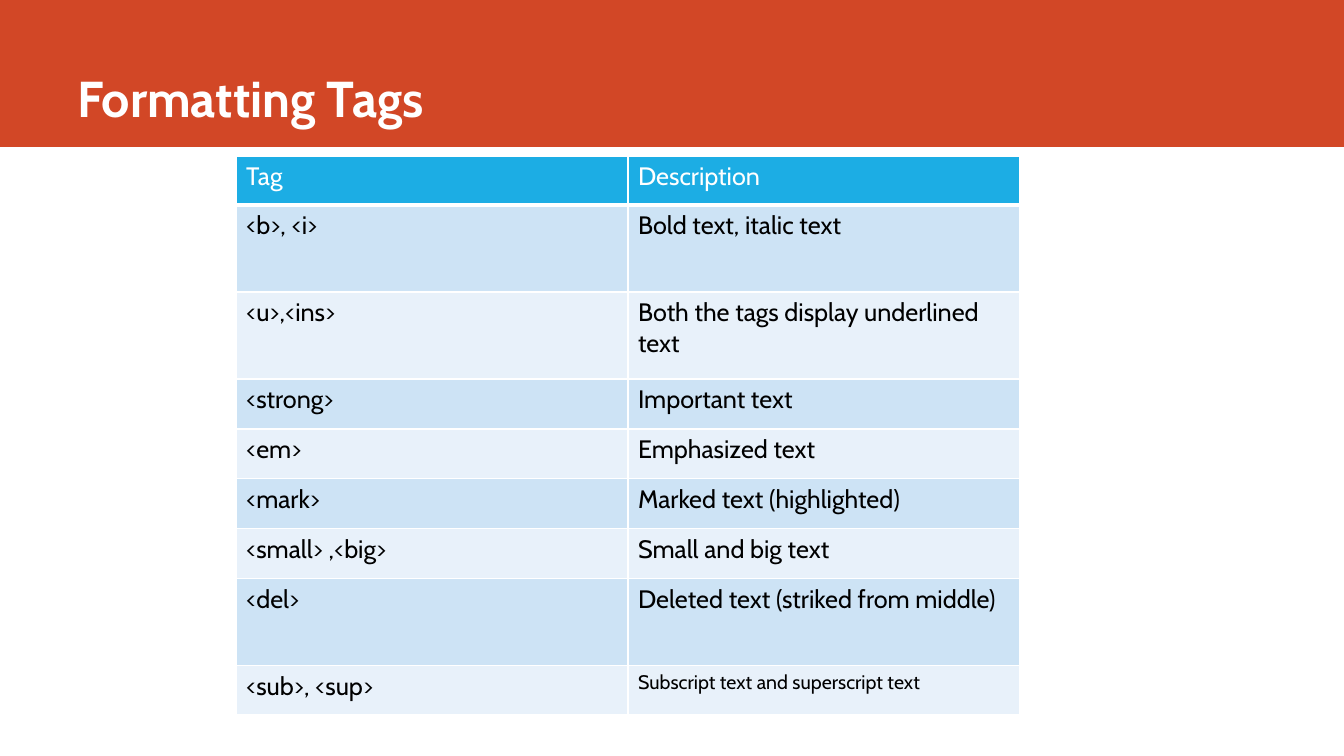
from lxml import etree
from pptx import Presentation
from pptx.dml.color import RGBColor
from pptx.enum.shapes import MSO_SHAPE
from pptx.enum.text import MSO_ANCHOR, MSO_AUTO_SIZE, PP_ALIGN
from pptx.oxml.ns import qn
from pptx.util import Emu, Pt

RECTANGLE = MSO_SHAPE.RECTANGLE
BOTTOM = MSO_ANCHOR.BOTTOM
NO_AUTOFIT = MSO_AUTO_SIZE.NONE
LEFT = PP_ALIGN.LEFT

PX = 914400 / 100.8
FONT = "Cabin"
WHITE, BLACK = "FFFFFF", "000000"
ORANGE, HEADER_BLUE = "D24726", "1CADE4"
BANDS = ["E8F1FA", "CDE3F5"]
TITLE_ONLY = 5


def px(*lengths):
    return [Emu(round(length * PX)) for length in lengths]


def paint(target, color):
    target.solid()
    target.fore_color.rgb = RGBColor.from_string(color)


# Slide
presentation = Presentation()
presentation.slide_width, presentation.slide_height = px(1344, 756)
slide = presentation.slides.add_slide(presentation.slide_layouts[TITLE_ONLY])
paint(slide.background.fill, WHITE)

# Banner
banner = slide.shapes.add_shape(RECTANGLE, *px(0, 0, 1344, 147))
banner.shadow.inherit = False
paint(banner.fill, ORANGE)
banner.line.fill.background()

# Title, brought in front of the banner
title = slide.shapes.title
banner._element.addnext(title._element)
title.left, title.top, title.width, title.height = px(67, 0, 1185, 133)
title.text_frame.text = "Formatting Tags"
title.text_frame.vertical_anchor = BOTTOM
title.text_frame.auto_size = NO_AUTOFIT
paragraph = title.text_frame.paragraphs[0]
paragraph.alignment = LEFT
font = paragraph.runs[0].font
font.name, font.size, font.bold = FONT, Pt(36), True
paint(font.fill, WHITE)

# Table of tags: tag, description, row height
rows = [
    ("Tag", "Description", 49),
    ("<b>, <i>", "Bold text, italic text", 87),
    ("<u>,<ins>", "Both the tags display underlined text", 87),
    ("<strong>", "Important text", 50),
    ("<em>", "Emphasized text", 50),
    ("<mark>", "Marked text (highlighted)", 50),
    ("<small> ,<big>", "Small and big text", 50),
    ("<del>", "Deleted text (striked from middle)", 87),
    ("<sub>, <sup>", "Subscript text and superscript text", 49),
]
table_height = sum(height for _, _, height in rows)
table = slide.shapes.add_table(len(rows), 2, *px(236, 156, 784, table_height)).table
for column in table.columns:
    column.width = px(392)[0]

for row_index, (tag, description, height) in enumerate(rows):
    table.rows[row_index].height = px(height)[0]
    is_header = row_index == 0
    for column_index, text in enumerate((tag, description)):
        cell = table.cell(row_index, column_index)
        cell.text_frame.text = text
        font = cell.text_frame.paragraphs[0].runs[0].font
        font.name, font.size, font.bold = FONT, Pt(18), False
        paint(font.fill, WHITE if is_header else BLACK)

        # White cell borders, thicker below the header
        properties = cell._tc.get_or_add_tcPr()
        for side in ("lnL", "lnR", "lnT", "lnB"):
            width = Pt(3) if is_header and side == "lnB" else Pt(1)
            line = etree.SubElement(properties, qn(f"a:{side}"), w=str(width))
            line_fill = etree.SubElement(line, qn("a:solidFill"))
            etree.SubElement(line_fill, qn("a:srgbClr"), val=WHITE)
        paint(cell.fill, HEADER_BLUE if is_header else BANDS[row_index % 2])

# The last description is set smaller
last_cell = table.cell(len(rows) - 1, 1)
last_cell.text_frame.paragraphs[0].runs[0].font.size = Pt(14)

presentation.save("out.pptx")
